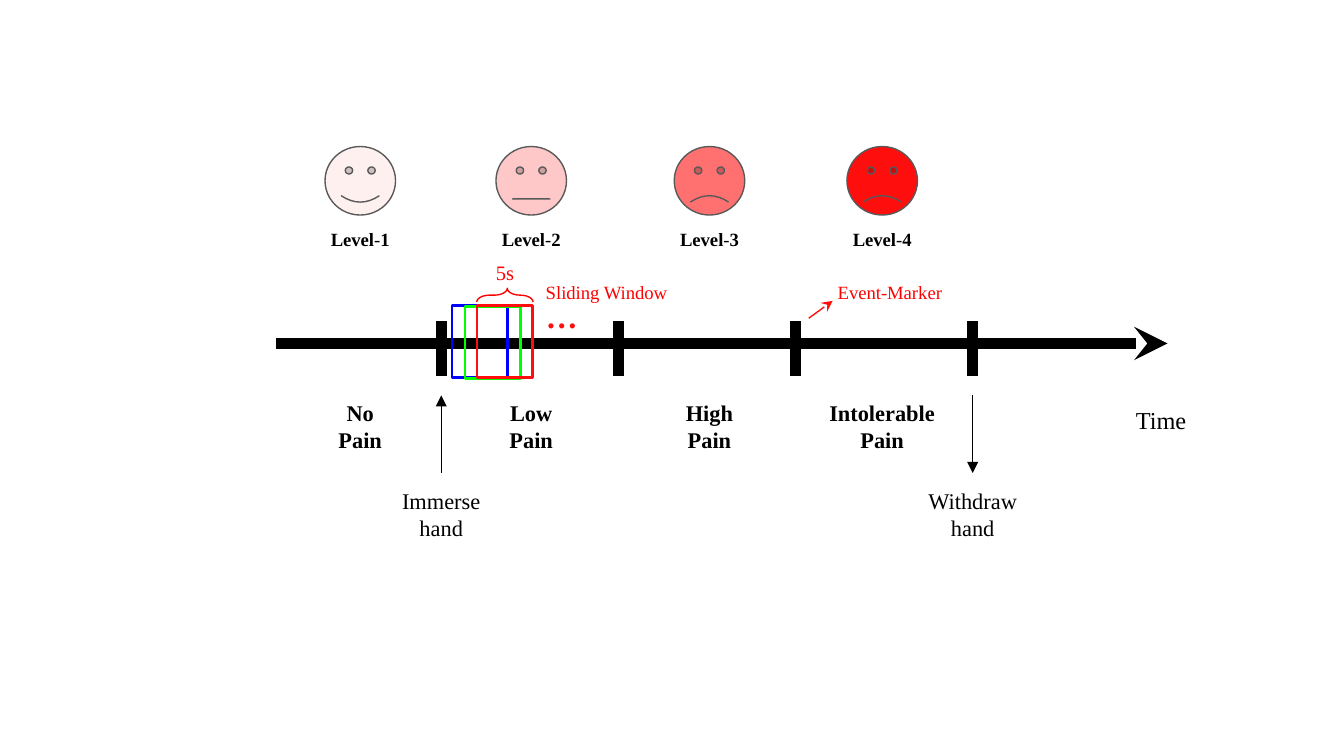
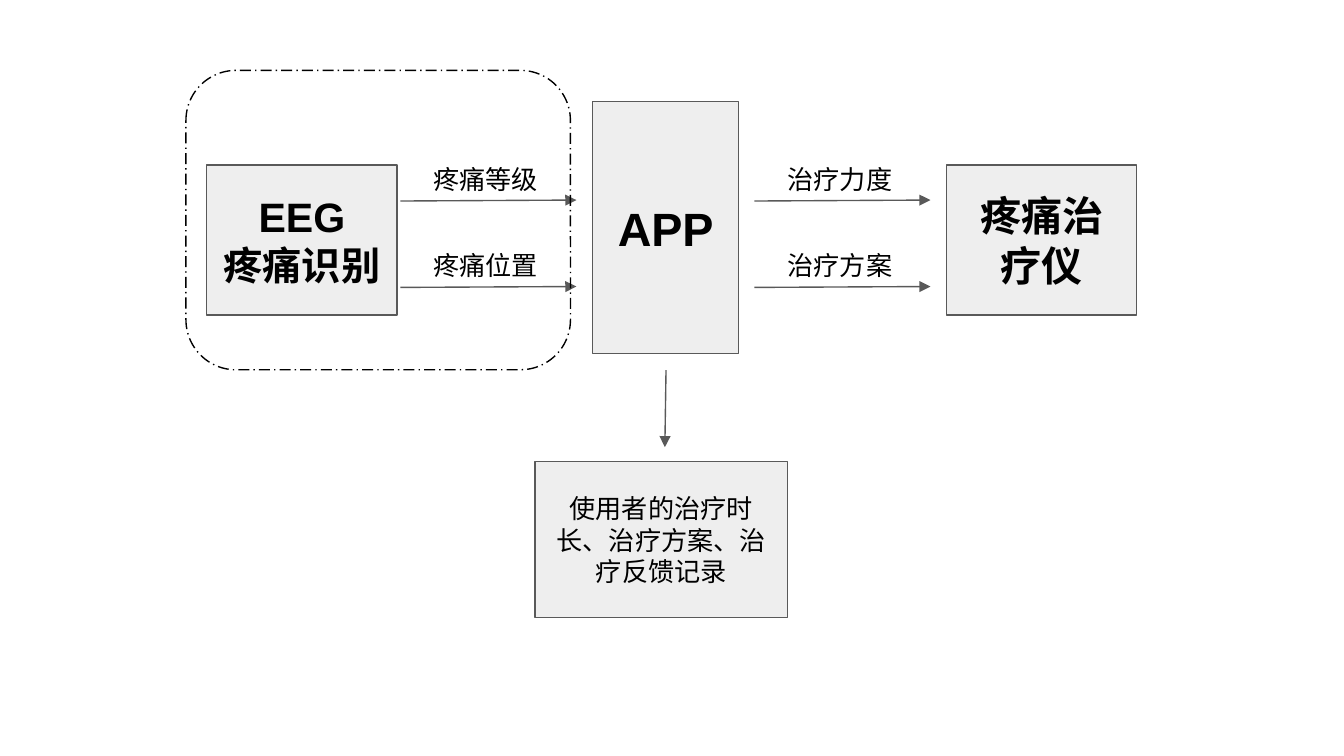
from dataclasses import dataclass

from lxml import etree
from pptx import Presentation
from pptx.dml.color import RGBColor
from pptx.enum import dml, shapes, text
from pptx.oxml.ns import qn
from pptx.util import Pt


@dataclass(frozen=True)
class Theme:
    serif: str = "Times New Roman"
    sans: str = "Arial"
    black: str = "000000"
    gray: str = "595959"
    panel: str = "EEEEEE"
    red: str = "FF0000"
    alarm: str = "FF0E0E"
    blue: str = "0000FF"
    green: str = "00FF00"
    small: int = 10
    note: int = 11
    label: int = 12
    axis: int = 13
    flow: int = 14
    dots: int = 17
    node_cjk: int = 21
    node: int = 22
    hub: int = 25
    inset: float = 7.2
    thin: float = 0.75
    window: float = 1.5
    thick: float = 6


theme = Theme()
kinds = shapes.MSO_SHAPE
left, center = text.PP_ALIGN.LEFT, text.PP_ALIGN.CENTER


def add_box(page, frame, paragraphs=(), kind=None, fill=None, line=None,
            weight=theme.thin, font=theme.serif, color=theme.black, align=center):
    """Add a text box, or a shape if kind is given; spans are (text, size, bold)."""
    frame = [Pt(length) for length in frame]
    if kind is None:
        box = page.shapes.add_textbox(*frame)
    else:
        box = page.shapes.add_shape(kind, *frame)
        box.shadow.inherit = False
        box.line.color.rgb = RGBColor.from_string(line)
        box.line.width = Pt(weight)
        if fill:
            box.fill.solid()
            box.fill.fore_color.rgb = RGBColor.from_string(fill)
        else:
            box.fill.background()
    body = box.text_frame
    body.word_wrap = True
    body.vertical_anchor = text.MSO_ANCHOR.MIDDLE if kind else text.MSO_ANCHOR.TOP
    body.margin_left = body.margin_right = Pt(theme.inset)
    body.margin_top = body.margin_bottom = Pt(theme.inset)
    for index, spans in enumerate(paragraphs):
        para = body.add_paragraph() if index else body.paragraphs[0]
        para.alignment = align
        for words, size, bold in spans:
            span = para.add_run()
            span.text = words
            span.font.name = font
            span.font.size = Pt(size)
            span.font.bold = bold
            span.font.color.rgb = RGBColor.from_string(color)
    # Keep punctuation inside the margins
    for properties in box.element.iter(qn("a:pPr")):
        properties.set("hangingPunct", "0")
    return box


def add_line(page, start, end, color=theme.black, weight=theme.thin, arrow=None):
    """Add a straight line with an optional arrowhead at its end."""
    line = page.shapes.add_connector(
        shapes.MSO_CONNECTOR.STRAIGHT, *[Pt(length) for length in (*start, *end)])
    line.line.color.rgb = RGBColor.from_string(color)
    line.line.width = Pt(weight)
    properties = line.element.spPr
    if arrow:
        etree.SubElement(properties.find(qn("a:ln")), qn("a:tailEnd"), type=arrow)
    etree.SubElement(properties, qn("a:effectLst"))


deck = Presentation()
deck.slide_width, deck.slide_height = Pt(720), Pt(405)
blank = deck.slide_layouts[6]

# Slide 1: pain timeline
page = deck.slides.add_slide(blank)
add_line(page, (148, 184), (625.5, 184), weight=theme.thick, arrow="stealth")
ticks = [236.4 + 94.9 * step for step in range(4)]
for tick in ticks:
    add_line(page, (tick, 172.1), (tick, 201.7), weight=theme.thick)
add_box(page, (601.5, 209.9, 50.4, 29.5), [[("Time", theme.axis, False)]], align=left)

# Faces and pain levels
levels = [
    (193, "No Pain", 43.2, "FFF0F0", 0.047),
    (284.6, "Low Pain", 43.2, "FFC8C8", -0.001),
    (380.1, "High Pain", 43.2, "FF7070", -0.047),
    (472.6, "Intolerable Pain", 72, theme.alarm, -0.047),
]
for number, (middle, pain, width, tint, smile) in enumerate(levels, 1):
    face = add_box(page, (middle - 18.9, 78.5, 37.8, 36.7), kind=kinds.SMILEY_FACE,
                   fill=tint, line=theme.gray)
    face.adjustments[0] = smile
    add_box(page, (middle - 31.7, 116.1, 63.4, 28),
            [[("Level", theme.small, True), ("-", theme.small, False),
              (str(number), theme.small, True)]])
    add_box(page, (middle - width / 2, 206.6, width, 36), [[(pain, theme.label, True)]])

# Hand actions
for tick, action, start, end in [(ticks[0], "Immerse", 253.4, 211.8),
                                 (ticks[-1], "Withdraw", 211.8, 253.4)]:
    add_line(page, (tick, start), (tick, end), arrow="triangle")
    add_box(page, (tick - 31.7, 253.7, 63.4, 30),
            [[(word, theme.label, False)] for word in (action, "hand")])

# Sliding windows
for x, y, color in [(242.2, 163.6, theme.blue), (249.1, 164, theme.green),
                    (255.6, 163.6, theme.alarm)]:
    add_box(page, (x, y, 29.7, 38.8), kind=kinds.RECTANGLE, line=color,
            weight=theme.window)
brace = add_box(page, (266.8, 143, 7.4, 30.2), kind=kinds.RIGHT_BRACE, line=theme.red)
brace.rotation = 270
brace.adjustments[0], brace.adjustments[1] = 1.477, 0.542

# Red notes
for frame, words, size, bold, color, align in [
    ((285.3, 151.9, 58.3, 35.3), "…", theme.dots, True, theme.alarm, left),
    ((285.3, 144.3, 160.6, 26.6), "Sliding Window", theme.small, False, theme.red, left),
    ((441.7, 144.3, 113, 26.6), "Event-Marker", theme.small, False, theme.red, left),
    ((255.4, 132.5, 30.2, 28), "5s", theme.note, False, theme.red, center),
]:
    add_box(page, frame, [[(words, size, bold)]], color=color, align=align)
add_line(page, (433.3, 170.5), (446.1, 161.2), color=theme.alarm, arrow="stealth")

# Slide 2: treatment flow
page = deck.slides.add_slide(blank)
nodes = [
    ((110.8, 88.4, 102, 80.3),
     [[("EEG", theme.node, True)], [("疼痛识别", theme.node_cjk, True)]]),
    ((317.5, 54.4, 78.2, 135), [[("APP", theme.hub, True)]]),
    ((507.2, 88.4, 101.7, 80.3), [[("疼痛治疗仪", theme.node, True)]]),
    ((286.6, 247.2, 135.4, 83.8),
     [[("使用者的治疗时长、治疗方案、治疗反馈记录", theme.flow, False)]]),
]
for frame, paragraphs in nodes:
    add_box(page, frame, paragraphs, kind=kinds.RECTANGLE, fill=theme.panel,
            line=theme.gray, font=theme.sans)

# Labelled arrows
for x, labels in [(214.5, ("疼痛等级", "疼痛位置")), (404.2, ("治疗力度", "治疗方案"))]:
    for row, label in enumerate(labels):
        y = 107.7 + 46.3 * row
        add_line(page, (x, y), (x + 94.3, y - 0.5), color=theme.gray, arrow="triangle")
        add_box(page, (x + 10.6, y - 27.5, 72.7, 23.8), [[(label, theme.flow, False)]],
                font=theme.sans, align=left)
add_line(page, (356.8, 198.3), (356.2, 239.6), color=theme.gray, arrow="triangle")

# Recognition group outline
group = add_box(page, (99.6, 37.7, 206, 160.4), kind=kinds.ROUNDED_RECTANGLE,
                line=theme.black)
group.adjustments[0] = 0.167
group.line.dash_style = dml.MSO_LINE.LONG_DASH_DOT

deck.save("out.pptx")
